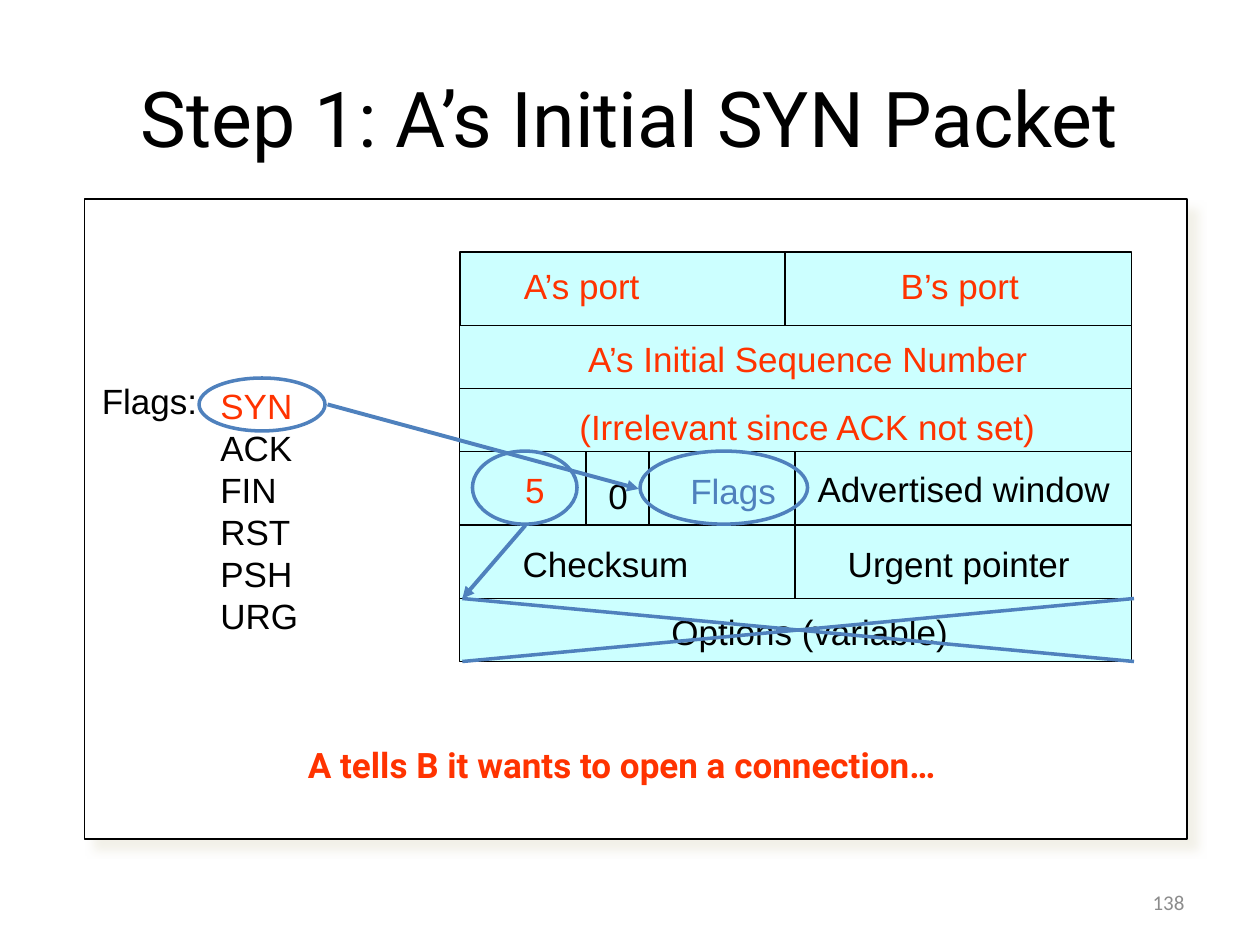
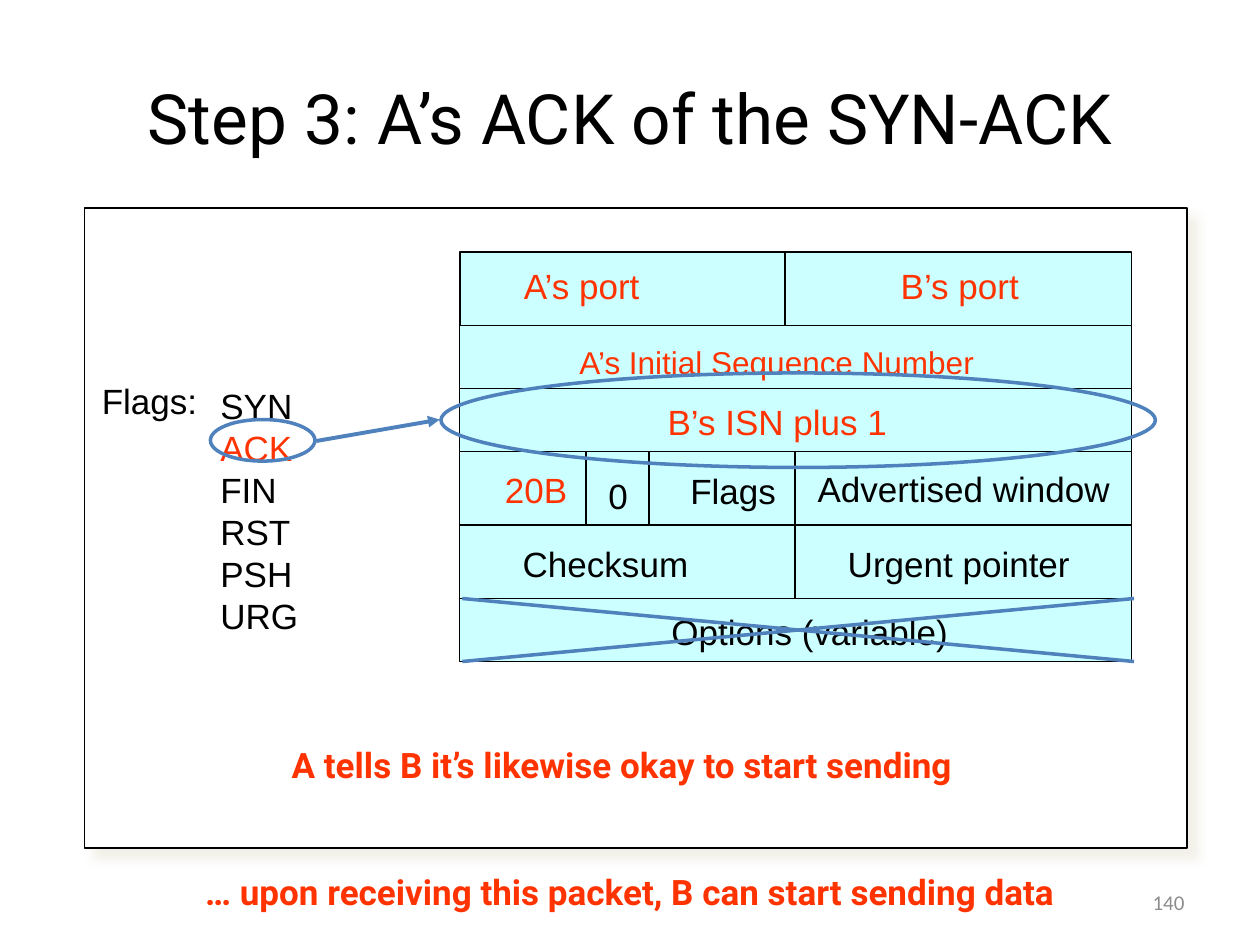
from lxml.etree import SubElement
from pptx import Presentation
from pptx.dml.color import RGBColor
from pptx.enum.shapes import MSO_CONNECTOR, MSO_SHAPE
from pptx.enum.text import MSO_ANCHOR, MSO_AUTO_SIZE, PP_ALIGN
from pptx.oxml import parse_xml
from pptx.oxml.ns import nsdecls, qn
from pptx.util import Inches, Pt

BLACK = RGBColor(0x00, 0x00, 0x00)
WHITE = RGBColor(0xFF, 0xFF, 0xFF)
CYAN = RGBColor(0xCC, 0xFF, 0xFF)
RED = RGBColor(0xFF, 0x33, 0x00)
BLUE = RGBColor(0x4F, 0x81, 0xBD)
GRAY = RGBColor(0x8C, 0x8C, 0x8C)

HEADER_LEFT, HEADER_TOP = 3.65, 2
TALL, SHORT = 7 / 12, 0.5
HEADER_ROWS = [
    (TALL, [2.58, 2.75]),
    (SHORT, [5.33]),
    (SHORT, [5.33]),
    (TALL, [2.66, 2.67]),
    (TALL, [2.66, 2.67]),
    (SHORT, [5.33]),
]
FIELD_SLACK = 0.1
COMMON_FIELDS = [
    ("A’s port", 4.06, 2.05, 1.15, RED),
    ("B’s port", 7.05, 2.05, 1.14, RED),
    ("Advertised window", 6.39, 3.66, 2.52, BLACK),
    ("0", 4.73, 3.72, 0.36, BLACK),
    ("Checksum", 4.05, 4.26, 1.51, BLACK),
    ("Urgent pointer", 6.63, 4.26, 1.96, BLACK),
    ("Options (variable)", 5.23, 4.8, 2.39, BLACK),
]
FLAGS = ["SYN", "ACK", "FIN", "RST", "PSH", "URG"]


def add_text(s, text, left, top, width, height=0.43, size=20, font="Arial",
             color=BLACK, bold=False, align=PP_ALIGN.LEFT,
             anchor=MSO_ANCHOR.TOP, wrap=False, marked=None):
    """Add a text box, one paragraph per line, with the marked line in red."""
    tf = s.shapes.add_textbox(Inches(left), Inches(top), Inches(width), Inches(height)).text_frame
    tf.word_wrap = wrap
    tf.auto_size = MSO_AUTO_SIZE.NONE if wrap else MSO_AUTO_SIZE.SHAPE_TO_FIT_TEXT
    tf.vertical_anchor = anchor
    for i, line in enumerate(text.split("\n")):
        p = tf.paragraphs[0] if i == 0 else tf.add_paragraph()
        p.alignment = align
        if font == "Arial":
            p.line_spacing = Pt(size * 1.2)
        r = p.add_run()
        r.text = line
        r.font.name, r.font.size, r.font.bold = font, Pt(size), bold
        r.font.color.rgb = RED if line == marked else color


def add_message(s, text, left, top, width):
    """Add a bold red sentence."""
    add_text(s, text, left, top, width, font="Roboto", color=RED, bold=True,
             align=PP_ALIGN.CENTER)


def add_box(s, left, top, width, height, fill=None, line=BLACK, weight=0.75,
            kind=MSO_SHAPE.RECTANGLE):
    """Add an outlined shape, hollow unless a fill is given."""
    sp = s.shapes.add_shape(kind, Inches(left), Inches(top), Inches(width), Inches(height))
    sp.shadow.inherit = False
    if fill is None:
        sp.fill.background()
    else:
        sp.fill.solid()
        sp.fill.fore_color.rgb = fill
    sp.line.color.rgb = line
    sp.line.width = Pt(weight)
    return sp


def add_ring(s, left, top, width, height):
    """Circle a field or a flag."""
    add_box(s, left, top, width, height, line=BLUE, weight=2, kind=MSO_SHAPE.OVAL)


def add_line(s, x1, y1, x2, y2, color=BLUE, weight=2.0, arrow=False):
    """Add a straight line, with an arrowhead at its end if asked."""
    sp = s.shapes.add_connector(MSO_CONNECTOR.STRAIGHT, Inches(x1), Inches(y1),
                                Inches(x2), Inches(y2))
    sp.line.color.rgb = color
    sp.line.width = Pt(weight)
    if arrow:
        SubElement(sp.line._get_or_add_ln(), qn("a:tailEnd"), type="triangle")
    SubElement(sp._element.spPr, qn("a:effectLst"))


def add_panel(s, top):
    """Add the white frame with its soft shadow."""
    sp = add_box(s, 0.67, top, 8.75, 5.08, fill=WHITE)
    effects = sp._element.spPr.find(qn("a:effectLst"))
    effects.append(parse_xml(
        f'<a:outerShdw {nsdecls("a")} blurRad="{Pt(5)}" dist="{Pt(8.5)}" dir="2700000" '
        'algn="tl" rotWithShape="0"><a:srgbClr val="EEECE1">'
        '<a:alpha val="75000"/></a:srgbClr></a:outerShdw>'))


def add_header_grid(s):
    """Draw the cells of the TCP header."""
    top = HEADER_TOP
    for height, widths in HEADER_ROWS:
        left = HEADER_LEFT
        for width in widths:
            add_box(s, left, top, width, height, fill=CYAN)
            left += width
        top += height
    for x in (4.65, 5.15):
        add_line(s, x, 3.58, x, 4.17, color=BLACK, weight=0.75)


def add_packet_slide(prs, title, title_size, panel_top, fields, flag, message, number):
    """Add a slide with the header, its field names and the flag list."""
    s = prs.slides.add_slide(prs.slide_layouts[6])
    add_text(s, title, 0.5, 0.3, 9, 1.25, size=title_size, font="Roboto",
             align=PP_ALIGN.CENTER, anchor=MSO_ANCHOR.MIDDLE, wrap=True)
    add_panel(s, panel_top)
    add_header_grid(s)
    for text, left, top, width, color in COMMON_FIELDS + fields:
        add_text(s, text, left, top, width + FIELD_SLACK, color=color, wrap=True)
    add_text(s, "Flags:", 0.71, 2.96, 0.96)
    add_text(s, "\n".join(FLAGS), 1.65, 3, 0.82, 2.1, marked=flag)
    add_message(s, message, 2.04, 5.85, 5.79)
    add_line(s, 3.67, 4.75, 9, 5.25)
    add_line(s, 3.67, 5.25, 9, 4.75)
    add_text(s, number, 7.17, 6.96, 2.33, 0.4, size=12, font="Calibri", color=GRAY,
             align=PP_ALIGN.RIGHT, anchor=MSO_ANCHOR.MIDDLE, wrap=True)
    return s


def add_syn_slide(prs):
    """Add the slide on the first packet."""
    fields = [
        ("A’s Initial Sequence Number", 4.57, 2.63, 3.75, RED),
        ("(Irrelevant since ACK not set)", 4.5, 3.17, 3.83, RED),
        ("5", 4.07, 3.67, 0.36, RED),
        ("Flags", 5.38, 3.68, 0.88, BLUE),
    ]
    s = add_packet_slide(prs, "Step 1: A’s Initial SYN Packet", 44, 1.58, fields, "SYN",
                         "A tells B it wants to open a connection…", "138")
    add_ring(s, 5.08, 3.58, 1.33, 0.58)
    add_ring(s, 1.58, 3, 1, 0.42)
    add_ring(s, 3.75, 3.58, 0.83, 0.58)
    add_line(s, 2.6, 3.21, 5.07, 3.88, weight=2.25, arrow=True)
    add_line(s, 4.17, 4.17, 3.67, 4.75, weight=2.25, arrow=True)


def add_ack_slide(prs):
    """Add the slide on the third packet."""
    fields = [
        ("B’s ISN plus 1", 5.2, 3.13, 1.95, RED),
        ("20B", 3.91, 3.67, 1.07, RED),
        ("Flags", 5.38, 3.68, 0.88, BLACK),
    ]
    s = add_packet_slide(prs, "Step 3: A’s ACK of the SYN-ACK", 39.6, 1.65, fields, "ACK",
                         "A tells B it’s likewise okay to start sending", "140")
    add_text(s, "A’s Initial Sequence Number", 4.5, 2.67, 3.71, 0.4, size=18,
             color=RED, wrap=True)
    add_message(s, "… upon receiving this packet, B can start sending data", 1.28, 6.86, 7.44)
    add_ring(s, 1.67, 3.33, 0.83, 0.33)
    add_ring(s, 3.5, 2.96, 5.67, 0.75)
    add_line(s, 2.51, 3.5, 3.49, 3.33, weight=2.25, arrow=True)


def main():
    """Build and save the presentation."""
    prs = Presentation()
    prs.slide_width, prs.slide_height = Inches(10), Inches(7.5)
    add_syn_slide(prs)
    add_ack_slide(prs)
    prs.save("out.pptx")


if __name__ == "__main__":
    main()
